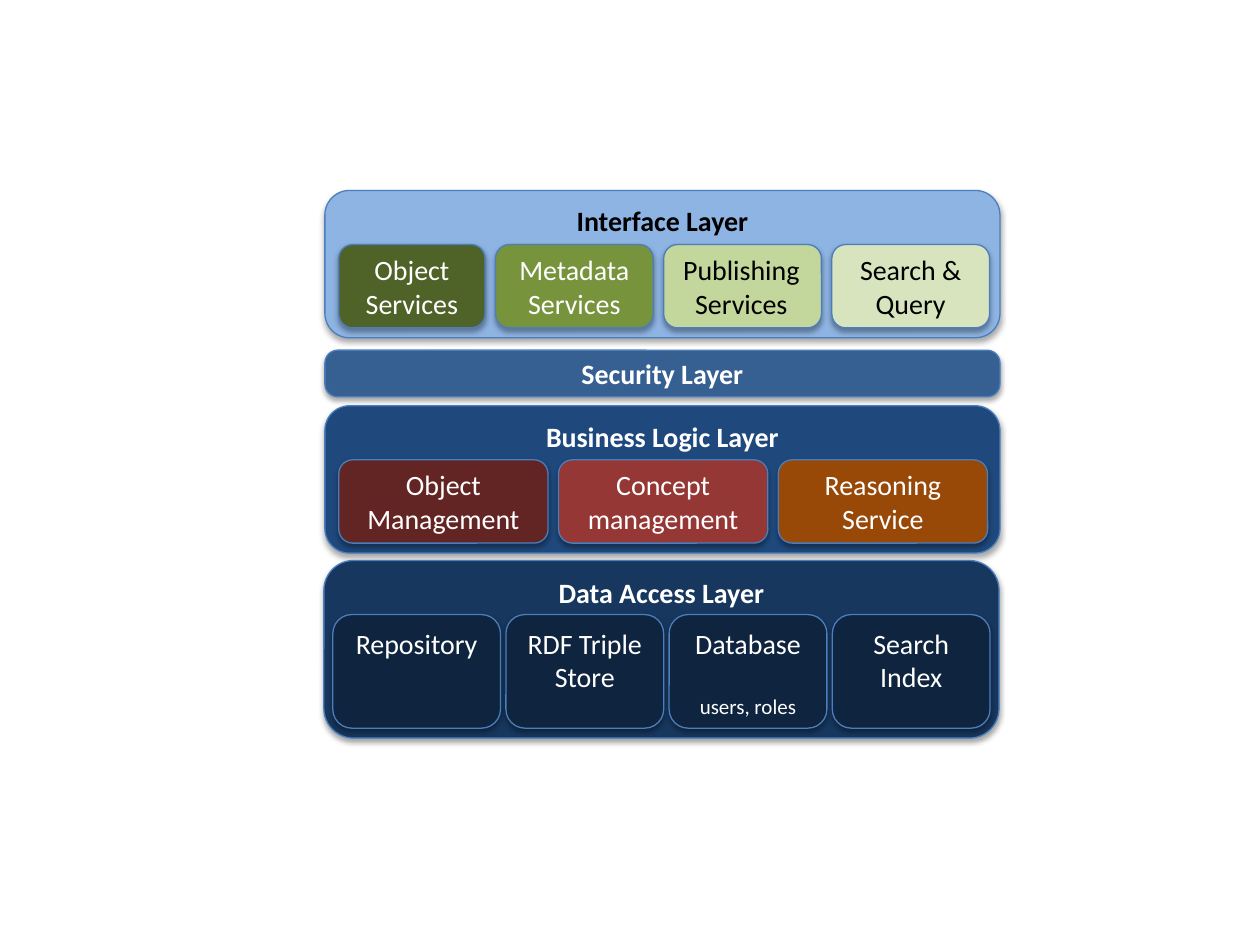
from dataclasses import dataclass

from lxml import etree
from pptx import Presentation
from pptx import util as u
from pptx.dml import color
from pptx.enum import shapes, text
from pptx.oxml import ns


@dataclass(frozen=True)
class Theme:
    font: str = "Calibri"
    size: int = 16
    note_size: int = 12
    light: str = "FFFFFF"
    dark: str = "000000"
    outline: str = "4B7EBC"
    store: str = "0F243E"


theme = Theme()

LAYERS = [
    dict(title="Interface Layer", left=6.55, top=3.84, height=2.97,
         fill="8EB4E3", ink=theme.dark,
         inset=0.28, gap=0.21, card_height=1.68, anchor="MIDDLE", cards=[
             dict(label="Object Services", width=2.95, fill="4F6228"),
             dict(label="Metadata Services", width=3.18, fill="77933C"),
             dict(label="Publishing Services", width=3.18, fill="C3D69B",
                  ink=theme.dark, margin=0.2),
             dict(label="Search & Query", width=3.18, fill="D7E4BD", ink=theme.dark),
         ]),
    dict(title="Security Layer", left=6.55, top=7.06, height=0.94,
         fill="376092", title_anchor="MIDDLE", rounding=0.275),
    dict(title="Business Logic Layer", left=6.55, top=8.18, height=2.97,
         fill="1F497D",
         inset=0.28, gap=0.21, card_height=1.68, anchor="MIDDLE", cards=[
             dict(label="Object Management", width=4.22, fill="632523"),
             dict(label="Concept management", width=4.22, fill="953735"),
             dict(label="Reasoning Service", width=4.22, fill="984807"),
         ]),
    dict(title="Data Access Layer", left=6.53, top=11.3, height=3.58,
         fill="17375E",
         inset=0.18, gap=0.11, card_height=2.29, anchor="TOP", cards=[
             dict(label="Repository", width=3.38, fill=theme.store),
             dict(label="RDF Triple Store", width=3.18, fill=theme.store),
             dict(label="Database", width=3.18, fill=theme.store, note="users, roles"),
             dict(label="Search Index", width=3.18, fill=theme.store),
         ]),
]
LAYER_WIDTH = 13.61
CARD_DROP = 1.09
NOTE_GAP = 19.5


def write(paragraph, words, ink=theme.light, size=theme.size, bold=False, before=0):
    paragraph.alignment = text.PP_ALIGN.CENTER
    paragraph.space_before = u.Pt(before)
    run = paragraph.add_run()
    run.text = words
    run.font.name = theme.font
    run.font.size = u.Pt(size)
    run.font.bold = bold
    run.font.color.rgb = color.RGBColor.from_string(ink)


def cast_shadow(box):
    box.shadow.inherit = False
    effects = box.element.spPr.find(ns.qn("a:effectLst"))
    shadow = etree.SubElement(effects, ns.qn("a:outerShdw"), blurRad=str(u.Pt(3.1)),
                              dist=str(u.Pt(1.8)), dir="5400000", rotWithShape="0")
    tint = etree.SubElement(shadow, ns.qn("a:srgbClr"), val=theme.dark)
    etree.SubElement(tint, ns.qn("a:alpha"), val="35000")


def add_box(left, top, width, height, fill, anchor="TOP", rounding=None, margin=0.25):
    box = diagram.shapes.add_shape(shapes.MSO_SHAPE.ROUNDED_RECTANGLE,
                                   u.Cm(left), u.Cm(top), u.Cm(width), u.Cm(height))
    if rounding is not None:
        box.adjustments[0] = rounding
    box.fill.solid()
    box.fill.fore_color.rgb = color.RGBColor.from_string(fill)
    box.line.color.rgb = color.RGBColor.from_string(theme.outline)
    box.line.width = u.Pt(0.75)
    cast_shadow(box)
    frame = box.text_frame
    frame.word_wrap = True
    frame.vertical_anchor = text.MSO_ANCHOR[anchor]
    frame.margin_left = u.Cm(margin)
    return frame


deck = Presentation()
deck.slide_width, deck.slide_height = u.Cm(25.4), u.Cm(19.05)
slide = deck.slides.add_slide(deck.slide_layouts[6])
diagram = slide.shapes.add_group_shape()

for layer in LAYERS:
    heading = add_box(layer["left"], layer["top"], LAYER_WIDTH, layer["height"],
                      layer["fill"], layer.get("title_anchor", "TOP"),
                      layer.get("rounding"))
    write(heading.paragraphs[0], layer["title"], layer.get("ink", theme.light), bold=True)

    card_left = layer["left"] + layer.get("inset", 0)
    for card in layer.get("cards", []):
        body = add_box(card_left, layer["top"] + CARD_DROP, card["width"],
                       layer["card_height"], card["fill"], layer["anchor"],
                       margin=card.get("margin", 0.25))
        write(body.paragraphs[0], card["label"], card.get("ink", theme.light))
        if "note" in card:
            write(body.add_paragraph(), card["note"], size=theme.note_size, before=NOTE_GAP)
        card_left += card["width"] + layer["gap"]

deck.save("out.pptx")
